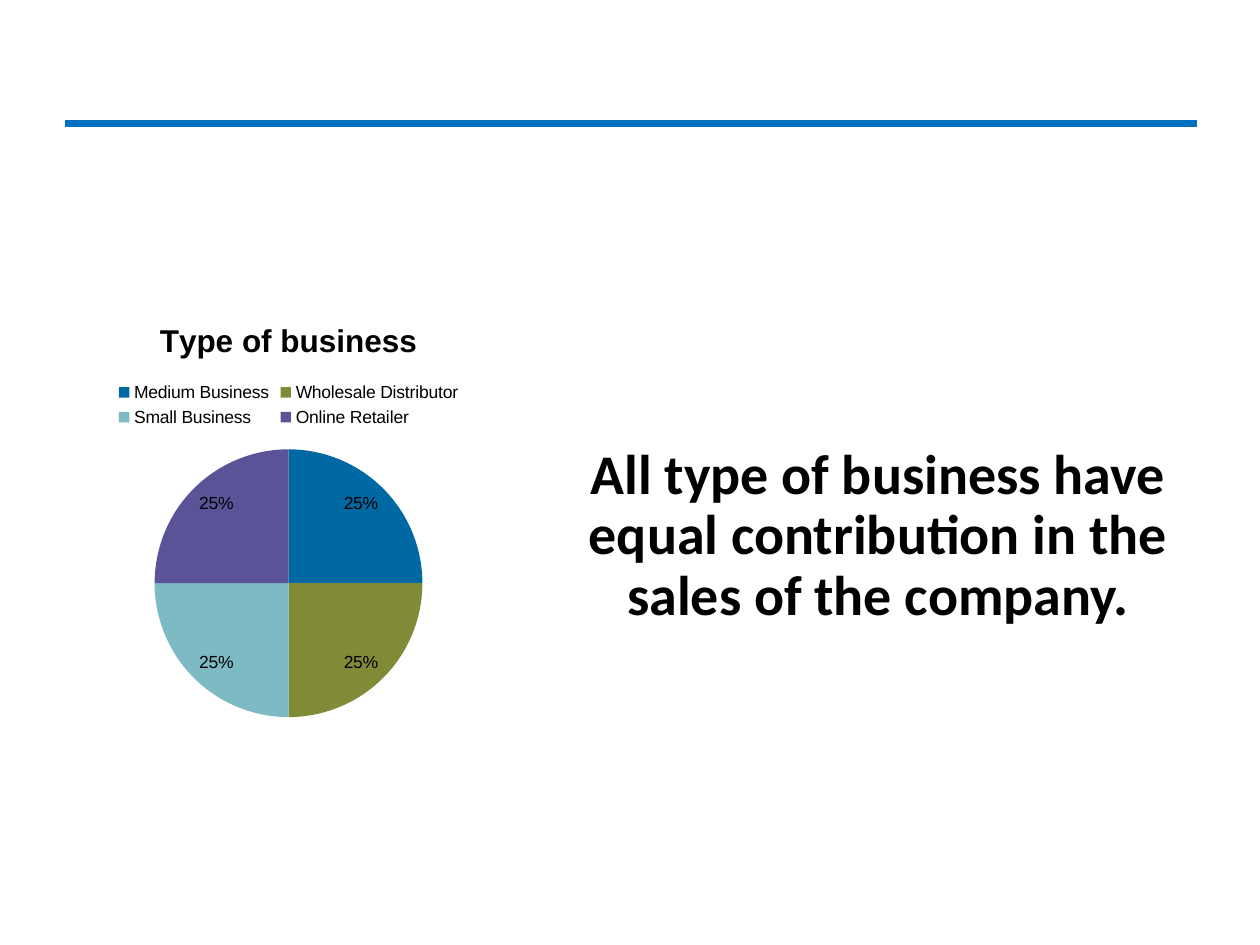
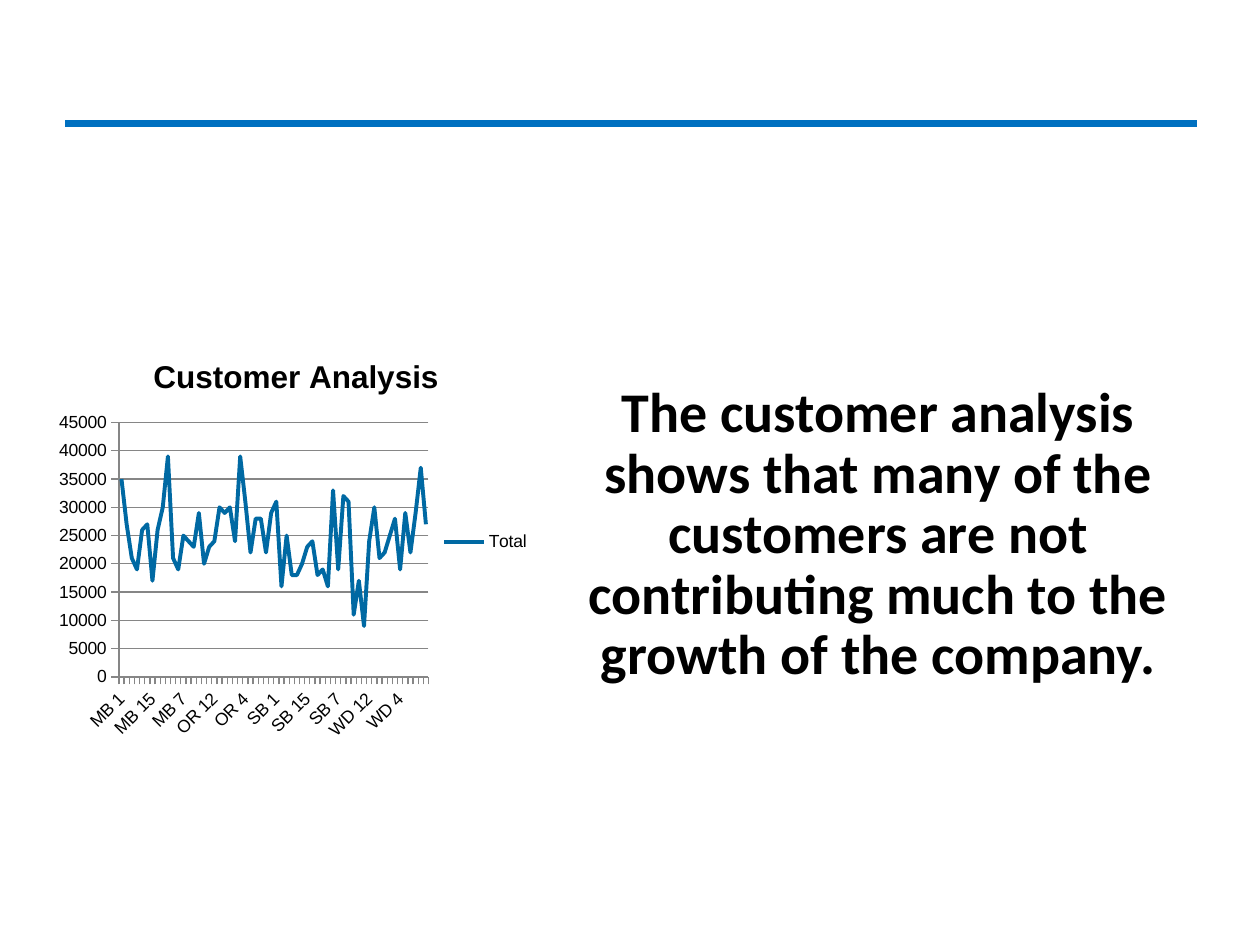
from dataclasses import dataclass

from lxml.etree import SubElement
from pptx import Presentation
from pptx.chart.data import CategoryChartData
from pptx.dml.color import RGBColor
from pptx.enum.chart import XL_CHART_TYPE, XL_LABEL_POSITION, XL_LEGEND_POSITION, XL_TICK_MARK
from pptx.enum.shapes import MSO_CONNECTOR
from pptx.enum.text import MSO_ANCHOR, PP_ALIGN
from pptx.oxml.ns import qn
from pptx.util import Inches, Pt


@dataclass(frozen=True)
class Theme:
    # Colours
    ink: str = "000000"
    paper: str = "FFFFFF"
    rule: str = "0070C0"
    grid: str = "868686"
    fills: tuple = ("0069A3", "818A37", "7DBAC4", "5A5397")
    # Fonts and sizes in points
    body: str = "Calibri"
    data: str = "Arial"
    big: float = 32
    head: float = 18
    small: float = 10
    thick: float = 4.5
    curve: float = 2.25


class Deck:
    """Holds the style and the current slide; lengths are grid columns and rows."""

    cols, rows = 100, 75

    def __init__(self, theme):
        self.theme = theme
        self.show = Presentation()
        self.show.slide_width = Inches(10)
        self.show.slide_height = Inches(7.5)
        self.slide = None

    def x(self, col):
        return round(self.show.slide_width * col / self.cols)

    def y(self, row):
        return round(self.show.slide_height * row / self.rows)

    def box(self, left, top, wide, high):
        return self.x(left), self.y(top), self.x(wide), self.y(high)

    def font(self, font, name, size, bold=False):
        font.name, font.size, font.bold = name, Pt(size), bold
        font.color.rgb = RGBColor.from_string(self.theme.ink)

    def stroke(self, line, tint, width):
        line.color.rgb = RGBColor.from_string(tint)
        line.width = Pt(width)

    # Blank page with the shared rule
    def page(self):
        self.slide = self.show.slides.add_slide(self.show.slide_layouts[6])
        fill = self.slide.background.fill
        fill.solid()
        fill.fore_color.rgb = RGBColor.from_string(self.theme.paper)
        self.rule(5.2, 95, 9.8)

    def rule(self, start, end, row):
        line = self.slide.shapes.add_connector(
            MSO_CONNECTOR.STRAIGHT, self.x(start), self.y(row), self.x(end), self.y(row))
        self.stroke(line.line, self.theme.rule, self.theme.thick)
        SubElement(line._element.spPr, qn("a:effectLst"))

    # Large centred statement
    def text(self, words, *place):
        frame = self.slide.shapes.add_textbox(*self.box(*place)).text_frame
        frame.word_wrap = True
        frame.vertical_anchor = MSO_ANCHOR.TOP
        para = frame.paragraphs[0]
        para.alignment, para.line_spacing = PP_ALIGN.CENTER, 0.9
        run = para.add_run()
        run.text = words
        self.font(run.font, self.theme.body, self.theme.big, True)

    # Chart with the shared title, legend and type
    def chart(self, kind, title, name, cats, vals, legend, *place):
        data = CategoryChartData()
        data.categories = cats
        data.add_series(name, vals)
        chart = self.slide.shapes.add_chart(kind, *self.box(*place), data).chart
        self.font(chart.font, self.theme.data, self.theme.small)
        chart.has_title = True
        run = chart.chart_title.text_frame.paragraphs[0].add_run()
        run.text = title
        self.font(run.font, self.theme.data, self.theme.head, True)
        chart.has_legend = True
        chart.legend.position = legend
        chart.legend.include_in_layout = False
        return chart

    def pie(self, title, name, cats, vals, *place):
        plot = self.chart(XL_CHART_TYPE.PIE, title, name, cats, vals,
                          XL_LEGEND_POSITION.TOP, *place).plots[0]
        plot.vary_by_categories = True
        for i, tint in enumerate(self.theme.fills):
            fill = plot.series[0].points[i].format.fill
            fill.solid()
            fill.fore_color.rgb = RGBColor.from_string(tint)
        plot.has_data_labels = True
        labels = plot.data_labels
        labels.show_percentage, labels.show_value = True, False
        labels.number_format, labels.number_format_is_linked = "0%", False
        labels.position = XL_LABEL_POSITION.INSIDE_END
        self.font(labels.font, self.theme.data, self.theme.small)

    def line(self, title, name, cats, vals, *place):
        chart = self.chart(XL_CHART_TYPE.LINE_STACKED, title, name, cats, vals,
                           XL_LEGEND_POSITION.RIGHT, *place)
        plot = chart.plots[0]
        plot.vary_by_categories = False
        plot.series[0].smooth = False
        self.stroke(plot.series[0].format.line, self.theme.fills[0], self.theme.curve)
        for axis in (chart.category_axis, chart.value_axis):
            axis.major_tick_mark = XL_TICK_MARK.OUTSIDE
            self.stroke(axis.format.line, self.theme.grid, 0.75)
            self.font(axis.tick_labels.font, self.theme.data, self.theme.small)
        chart.value_axis.has_major_gridlines = True
        self.stroke(chart.value_axis.major_gridlines.format.line, self.theme.grid, 0.75)
        # Slant the customer names
        slant = chart.category_axis._element.find(qn("c:txPr")).find(qn("a:bodyPr"))
        slant.set("rot", str(-45 * 60000))


# Sales in thousands, by customer group, numbers in text order
SALES = {
    "MB": (35, 27, 21, 19, 26, 27, 17, 26, 30, 39, 21, 19, 25, 24, 23),
    "OR": (29, 20, 23, 24, 30, 29, 30, 24, 39, 31, 22, 28, 28, 22, 29),
    "SB": (31, 16, 25, 18, 18, 20, 23, 24, 18, 19, 16, 33, 19, 32, 31),
    "WD": (11, 17, 9, 24, 30, 21, 22, 25, 28, 19, 29, 22, 29, 37, 27),
}


def main():
    deck = Deck(Theme())

    # Type of business
    deck.page()
    deck.text("All type of business have equal contribution in the sales of the company.",
              44.4, 34.9, 50.6, 47)
    kinds = ("Medium Business", "Wholesale Distributor", "Small Business", "Online Retailer")
    deck.pie("Type of business", "Series 1", kinds, [25] * len(kinds), 5, 23.7, 35.8, 34.6)

    # Customer analysis
    deck.page()
    deck.text("The customer analysis shows that many of the customers are not "
              "contributing much to the growth of the company.", 44.4, 30, 50.6, 51.9)
    names = [f"{group} {n}" for group in SALES for n in sorted(range(1, 16), key=str)]
    sums = [1000 * k for part in SALES.values() for k in part]
    deck.line("Customer Analysis", "Total", names, sums, 3.9, 26.6, 39.2, 32.8)

    deck.show.save("out.pptx")


if __name__ == "__main__":
    main()
